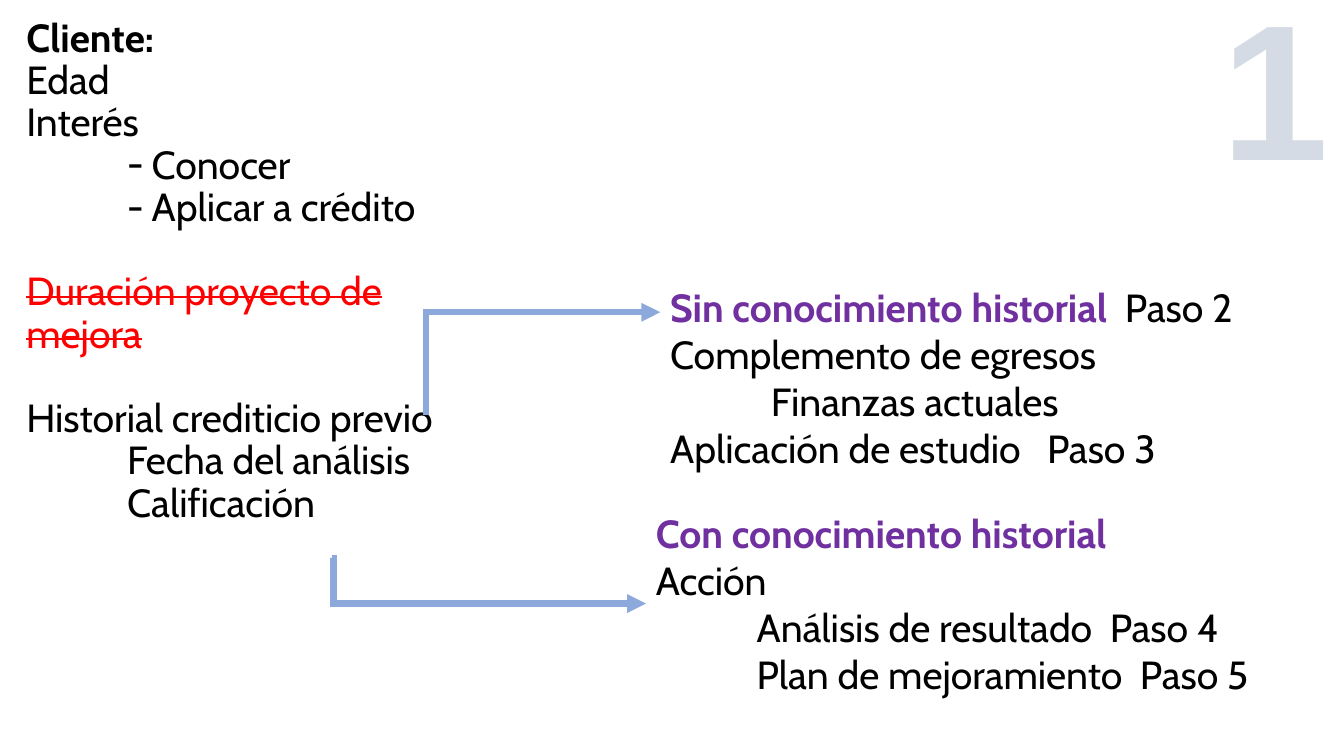
import pptx
import pptx.util
import pptx.dml.color
import pptx.enum.shapes
import pptx.enum.text
import pptx.oxml.ns
from lxml import etree

Cm = pptx.util.Cm
Pt = pptx.util.Pt
RGBColor = pptx.dml.color.RGBColor
qn = pptx.oxml.ns.qn
ALIGN = pptx.enum.text.PP_ALIGN

BLACK = RGBColor(0x00, 0x00, 0x00)
RED = RGBColor(0xFF, 0x00, 0x00)
PURPLE = RGBColor(0x70, 0x30, 0xA0)
BLUE = RGBColor(0x8D, 0xA9, 0xDB)
GREY = RGBColor(0xD5, 0xDB, 0xE5)

INDENT = Cm(2.54)
HANG = Cm(0.62)


def add_run(para, text, color=BLACK, bold=False, size=28, face="Cabin"):
    run = para.add_run()
    run.text = text
    run.font.name = face
    run.font.size = Pt(size)
    run.font.bold = bold
    run.font.color.rgb = color
    return run


def add_box(left, top, width, height):
    """Add an empty wrapping text box and return its frame."""
    frame = slide.shapes.add_textbox(Cm(left), Cm(top), Cm(width), Cm(height)).text_frame
    frame.word_wrap = True
    return frame


deck = pptx.Presentation()
deck.slide_width = Cm(33.87)
deck.slide_height = Cm(19.05)
slide = deck.slides.add_slide(deck.slide_layouts[5])

# Client data: text, indented, dash, gap before in points
client = [
    ("Cliente:", False, False, 0),
    ("Edad", False, False, 0),
    ("Interés", False, False, 0),
    ("Conocer", True, True, 0),
    ("Aplicar a crédito", True, True, 0),
    ("Duración proyecto de mejora", False, False, 30),
    ("Historial crediticio previo", False, False, 30),
    ("Fecha del análisis", True, False, 0),
    ("Calificación", True, False, 0),
]
title = slide.shapes.title
title.left, title.top, title.width, title.height = Cm(0.41), Cm(0.33), Cm(11), Cm(17.22)
frame = title.text_frame
frame.word_wrap = True
frame.auto_size = pptx.enum.text.MSO_AUTO_SIZE.NONE
frame.vertical_anchor = pptx.enum.text.MSO_ANCHOR.TOP
for i, (text, inner, dash, gap) in enumerate(client):
    para = frame.add_paragraph() if i else frame.paragraphs[0]
    props = para._p.get_or_add_pPr()
    if dash:
        props.set("marL", str(INDENT + HANG))
        props.set("indent", str(-HANG))
        etree.SubElement(props, qn("a:buFont"), typeface="Cabin")
        etree.SubElement(props, qn("a:buChar"), char="-")
    elif inner:
        props.set("marL", str(INDENT))
    para.alignment = ALIGN.LEFT
    para.line_spacing = 0.9
    para.space_before = Pt(gap)
    struck = text.startswith("Duración")
    run = add_run(para, text, RED if struck else BLACK, bold=i == 0)
    if struck:
        run._r.get_or_add_rPr().set("strike", "sngStrike")

# Slide number
frame = add_box(30.48, -0.94, 3.3, 6.15)
frame.paragraphs[0].alignment = ALIGN.CENTER
add_run(frame.paragraphs[0], "1", GREY, True, 138, "Arial")

# Branches: left, top, width, lines of text, step, tab stops from the text edge
branches = [
    (16.28, 12.7, 17.6, [
        ("Con conocimiento historial", None, []),
        ("Acción", None, []),
        ("\tAnálisis de resultado", "Paso 4", [INDENT, Cm(11.44)]),
        ("\tPlan de mejoramiento", "Paso 5", [INDENT, Cm(12.2)]),
    ]),
    (16.64, 7.01, 16.94, [
        ("Sin conocimiento historial", "Paso 2", [Cm(11.46)]),
        ("Complemento de egresos", None, []),
        ("\tFinanzas actuales", None, [INDENT]),
        ("Aplicación de estudio", "Paso 3", [Cm(9.5)]),
    ]),
]
for left, top, width, lines in branches:
    frame = add_box(left, top, width, 5.05)
    for i, (text, step, stops) in enumerate(lines):
        para = frame.add_paragraph() if i else frame.paragraphs[0]
        if stops:
            tabs = etree.SubElement(para._p.get_or_add_pPr(), qn("a:tabLst"))
            for stop in stops:
                etree.SubElement(tabs, qn("a:tab"), pos=str(stop), algn="l")
        add_run(para, text, BLACK if i else PURPLE, bold=i == 0)
        if step:
            add_run(para, "\t" + step)

# Arrows to the branches: start, end, bend in thousandths of a percent of the width
arrows = [
    (8.36, 14.07, 16.28, 15.21, 600),
    (10.67, 10.39, 16.64, 7.87, 1000),
]
for x1, y1, x2, y2, bend in arrows:
    arrow = slide.shapes.add_connector(
        pptx.enum.shapes.MSO_CONNECTOR.ELBOW, Cm(x1), Cm(y1), Cm(x2), Cm(y2))
    arrow.line.color.rgb = BLUE
    arrow.line.width = Pt(4.5)
    props = arrow._element.spPr
    guides = props.find(qn("a:prstGeom")).find(qn("a:avLst"))
    etree.SubElement(guides, qn("a:gd"), name="adj1", fmla=f"val {bend}")
    line = props.find(qn("a:ln"))
    etree.SubElement(line, qn("a:miter"), lim="800000")
    etree.SubElement(line, qn("a:tailEnd"), type="triangle")
    etree.SubElement(props, qn("a:effectLst"))

deck.save("out.pptx")
